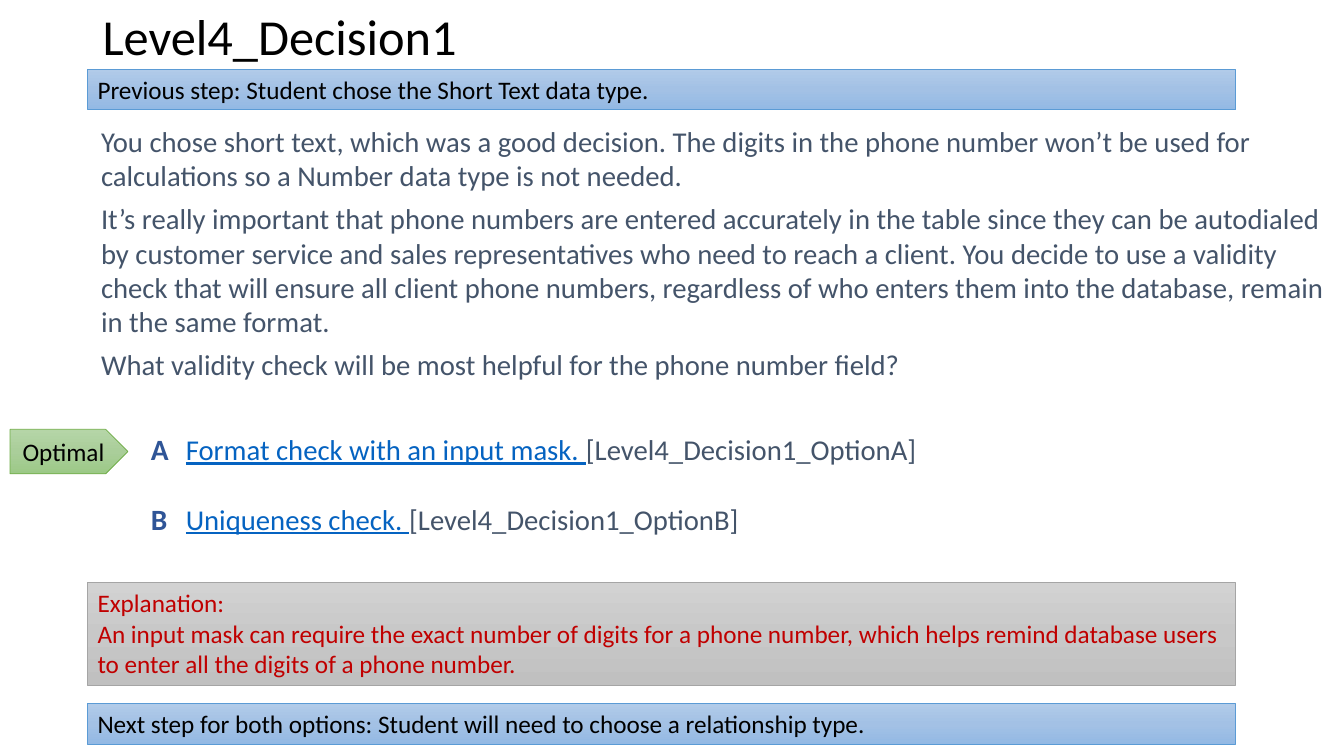
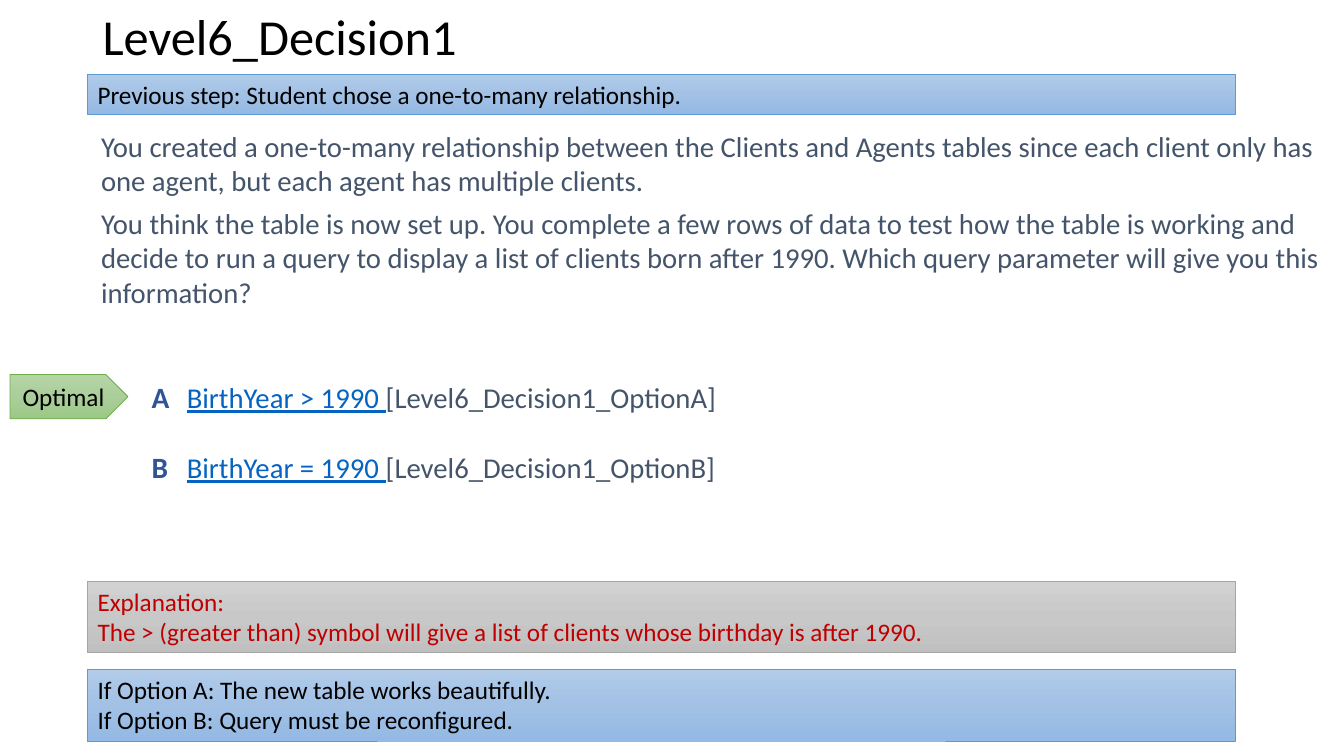
from copy import deepcopy

from pptx import Presentation
from pptx.dml.color import RGBColor
from pptx.enum.shapes import MSO_SHAPE
from pptx.enum.text import MSO_ANCHOR, MSO_AUTO_SIZE, PP_ALIGN
from pptx.oxml.ns import qn
from pptx.util import Pt

RECTANGLE, PENTAGON = MSO_SHAPE.RECTANGLE, MSO_SHAPE.PENTAGON
TOP, MIDDLE = MSO_ANCHOR.TOP, MSO_ANCHOR.MIDDLE
LEFT, CENTER = PP_ALIGN.LEFT, PP_ALIGN.CENTER
FIT_TEXT = MSO_AUTO_SIZE.SHAPE_TO_FIT_TEXT

FONT = "Calibri"
COLORS = {
    "black": "000000",
    "body": "44546A",
    "link": "0563C1",
    "letter": "2F5597",
    "explanation": "C00000",
}
# Gradient stops from top to bottom, then the outline
STYLES = {
    "step": (("B1CBE9", "A3C1E5", "93B9E4"), "5B9BD5"),
    "explanation": (("D2D2D2", "C8C8C8", "C0C0C0"), "A5A5A5"),
    "optimal": (("B5D5A7", "AACE9A", "9CC987"), "70AD47"),
}
MARGIN = 62.6
BAND_WIDTH = 820
BAND_LINE = 21.95
SHAPE_INSETS = (7.2, 3.6)
TEXT_INSETS = (9.6, 4.8)
OPTION_SIZE = 20.5
OPTION_PITCH = 50

SLIDES = [
    {
        "title": "Level4_Decision1",
        "previous": (49.3, ["Previous step: Student chose the Short Text data type."]),
        "body": (83.5, 207, [
            "You chose short text, which was a good decision. The digits in the phone number "
            "won’t be used for calculations so a Number data type is not needed.",
            "It’s really important that phone numbers are entered accurately in the table since "
            "they can be autodialed by customer service and sales representatives who need to "
            "reach a client. You decide to use a validity check that will ensure all client phone "
            "numbers, regardless of who enters them into the database, remain in the same format.",
            "What validity check will be most helpful for the phone number field?",
        ]),
        "options": (123.1, 303.8, 587, [
            ("Format check with an input mask. ", "[Level4_Decision1_OptionA]"),
            ("Uniqueness check. ", "[Level4_Decision1_OptionB]"),
        ]),
        "optimal_top": 306.7,
        "explanation": (416.2, 3, [
            "Explanation:",
            "An input mask can require the exact number of digits for a phone number, which helps "
            "remind database users to enter all the digits of a phone number.",
        ]),
        "next": (502.6, [
            "Next step for both options: Student will need to choose a relationship type.",
        ]),
    },
    {
        "title": "Level6_Decision1",
        "previous": (52.9, ["Previous step: Student chose a one-to-many relationship."]),
        "body": (86.9, 146, [
            "You created a one-to-many relationship between the Clients and Agents tables since "
            "each client only has one agent, but each agent has multiple clients.",
            "You think the table is now set up. You complete a few rows of data to test how the "
            "table is working and decide to run a query to display a list of clients born after "
            "1990. Which query parameter will give you this information?",
        ]),
        "options": (123.8, 266.8, 420, [
            ("BirthYear > 1990 ", "[Level6_Decision1_OptionA]"),
            ("BirthYear = 1990 ", "[Level6_Decision1_OptionB]"),
        ]),
        "optimal_top": 267.5,
        "explanation": (415, 2, [
            "Explanation:",
            "The > (greater than) symbol will give a list of clients whose birthday is after 1990.",
        ]),
        "next": (478.2, [
            "If Option A: The new table works beautifully.",
            "If Option B: Query must be reconfigured.",
        ]),
    },
]


def write_text(shape, paragraphs, size=18, color="black", bold=False, align=LEFT, anchor=TOP,
               insets=SHAPE_INSETS, space_after=0, line_spacing=1.0):
    """Fill a shape; a paragraph is a string or a list of (text, color, underline) runs."""
    frame = shape.text_frame
    frame.word_wrap = True
    frame.vertical_anchor = anchor
    frame.margin_left = frame.margin_right = Pt(insets[0])
    frame.margin_top = frame.margin_bottom = Pt(insets[1])
    for index, content in enumerate(paragraphs):
        paragraph = frame.add_paragraph() if index else frame.paragraphs[0]
        paragraph.alignment = align
        paragraph.line_spacing = line_spacing
        paragraph.space_after = Pt(space_after)
        runs = [(content, color, False)] if isinstance(content, str) else content
        for text, run_color, underline in runs:
            run = paragraph.add_run()
            run.text = text
            run.font.name = FONT
            run.font.size = Pt(size)
            run.font.bold = bold
            run.font.underline = underline
            run.font.color.rgb = RGBColor.from_string(COLORS[run_color])


def add_text(slide, box, paragraphs, **text_format):
    shape = slide.shapes.add_textbox(*map(Pt, box))
    write_text(shape, paragraphs, **text_format)


def add_gradient_shape(slide, kind, box, style):
    stops, outline = STYLES[style]
    shape = slide.shapes.add_shape(kind, *map(Pt, box))
    shape.shadow.inherit = False
    shape.line.color.rgb = RGBColor.from_string(outline)
    shape.line.width = Pt(0.5)
    shape.fill.gradient()
    shape.fill.gradient_angle = 270
    stop_list = shape._element.spPr.find(qn("a:gradFill")).find(qn("a:gsLst"))
    stop_list.insert(1, deepcopy(stop_list[0]))
    for index, stop in enumerate(shape.fill.gradient_stops):
        stop.position = index / 2
        stop.color.rgb = RGBColor.from_string(stops[index])
    return shape


def add_band(slide, top, paragraphs, style="step", color="black", lines=None):
    height = 2 * SHAPE_INSETS[1] + BAND_LINE * (lines or len(paragraphs))
    shape = add_gradient_shape(slide, RECTANGLE, (MARGIN, top, BAND_WIDTH, height), style)
    write_text(shape, paragraphs, color=color)
    shape.text_frame.auto_size = FIT_TEXT


def add_options(slide, left, top, width, options):
    """Add the answer lines and the letters in front of them."""
    paragraphs = [[(answer, "link", True), (target, "body", False)] for answer, target in options]
    add_text(slide, (left, top, width, 91), paragraphs, size=OPTION_SIZE,
             insets=TEXT_INSETS, space_after=OPTION_PITCH / 2)
    for index, letter in enumerate("AB"):
        add_text(slide, (left - 25, top - 0.7 + index * OPTION_PITCH, 50, 32), [letter],
                 size=21, color="letter", bold=True, insets=TEXT_INSETS)


def add_optimal_tag(slide, top):
    shape = add_gradient_shape(slide, PENTAGON, (7.2, top, 84.2, 31.7), "optimal")
    write_text(shape, ["Optimal"], align=CENTER, anchor=MIDDLE)


def add_decision_slide(presentation, content):
    slide = presentation.slides.add_slide(presentation.slide_layouts[6])
    body_top, body_height, body = content["body"]
    add_text(slide, (MARGIN, body_top, 897, body_height), body, size=20.5, color="body",
             insets=TEXT_INSETS, space_after=6)
    add_options(slide, *content["options"])
    add_text(slide, (66.2, 2.9, 828, 50.4), [content["title"]], size=36, anchor=MIDDLE,
             line_spacing=0.9)
    top, lines, explanation = content["explanation"]
    add_band(slide, top, explanation, style="explanation", color="explanation", lines=lines)
    add_optimal_tag(slide, content["optimal_top"])
    add_band(slide, *content["next"])
    add_band(slide, *content["previous"])


def main():
    presentation = Presentation()
    presentation.slide_width = Pt(960)
    presentation.slide_height = Pt(540)
    for content in SLIDES:
        add_decision_slide(presentation, content)
    presentation.save("out.pptx")


if __name__ == "__main__":
    main()
